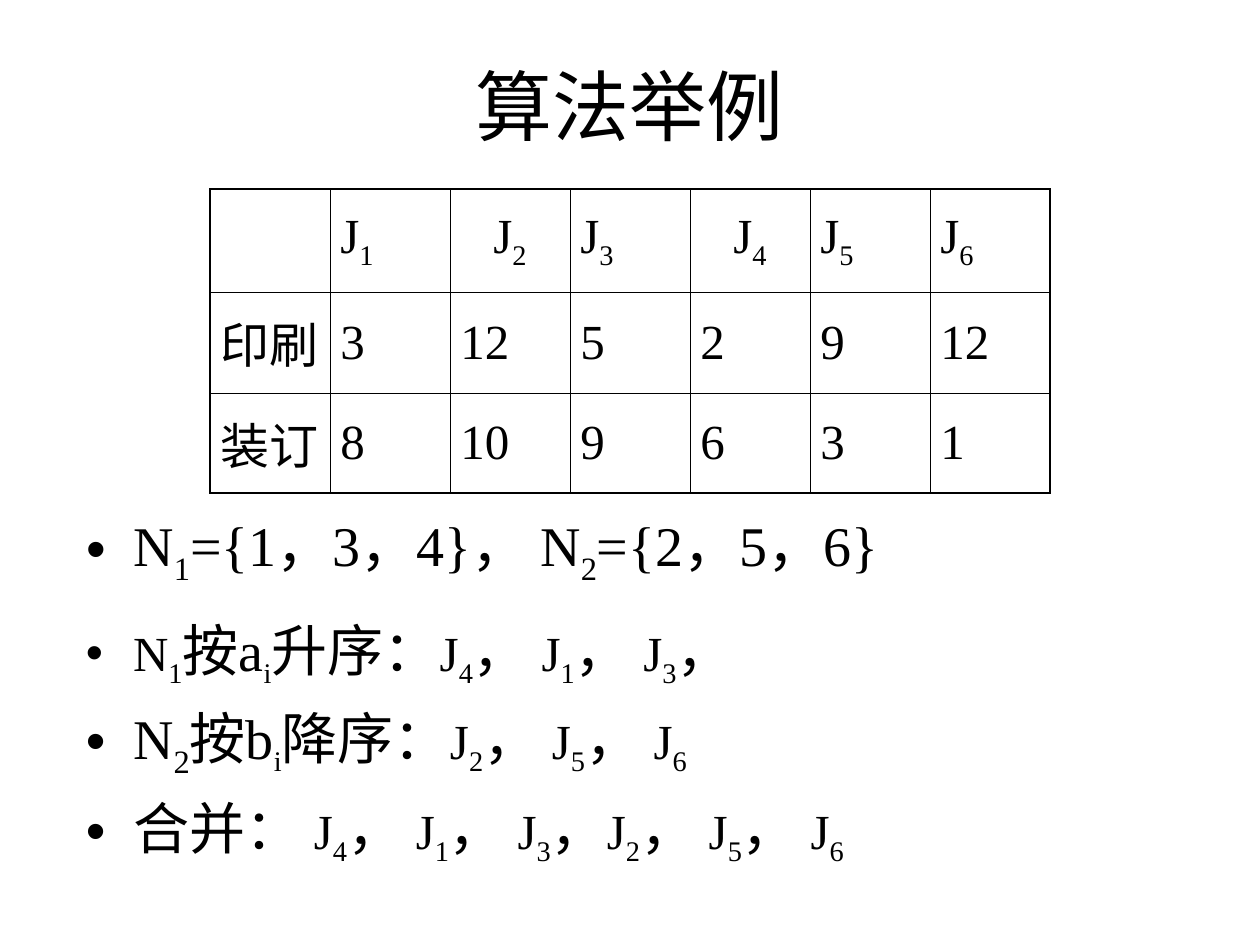
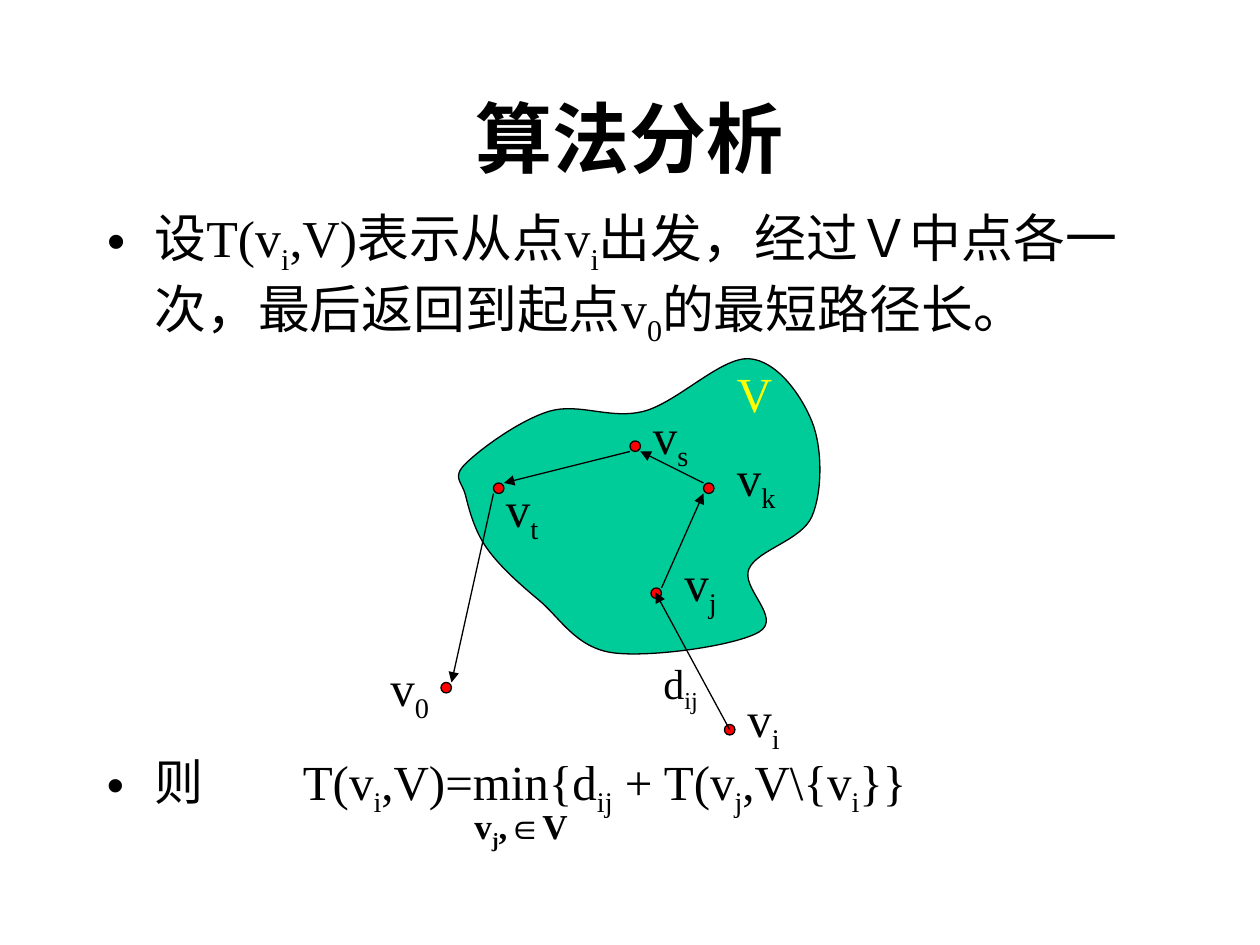
from dataclasses import dataclass

import pptx
import pptx.dml.color
import pptx.enum.shapes
import pptx.enum.text
import pptx.oxml
import pptx.oxml.ns
import pptx.util
from lxml import etree

Pt = pptx.util.Pt
PP_ALIGN = pptx.enum.text.PP_ALIGN
ANCHOR = pptx.enum.text.MSO_ANCHOR

# Shared look
BLACK, RED, GREEN, YELLOW = "000000", "FF0000", "00CC99", "FFFF00"
SERIF, SANS = "Times New Roman", "Arial"
OUTLINE = 0.75
HANGING = 27
DOT = 6


@dataclass(frozen=True)
class Span:
    """Text of one size; every second part between bars is a subscript."""
    text: str
    size: float
    font: str = SERIF
    color: str = BLACK
    bold: bool = False


@dataclass(frozen=True)
class Box:
    left: float
    top: float
    width: float
    height: float


@dataclass(frozen=True)
class Vertex:
    label: str
    dot: tuple[float, float]
    caption: Box


def rgb(color: str) -> pptx.dml.color.RGBColor:
    return pptx.dml.color.RGBColor.from_string(color)


def child(parent, tag: str, **attributes: str):
    element = etree.SubElement(parent, pptx.oxml.ns.qn(tag))
    for key, value in attributes.items():
        element.set(key, value)
    return element


# Text
def add_spans(paragraph, spans: list[Span]) -> None:
    for span in spans:
        for index, part in enumerate(span.text.split("|")):
            if not part:
                continue
            run = paragraph.add_run()
            run.text = part
            font = run.font
            font.size, font.name, font.bold = Pt(span.size), span.font, span.bold
            font.color.rgb = rgb(span.color)
            if index % 2:
                run._r.get_or_add_rPr().set("baseline", "-25000")


def hang(paragraph, bullet: bool = True, tab: float = 0) -> None:
    properties = paragraph._p.get_or_add_pPr()
    properties.set("marL", str(Pt(HANGING)))
    properties.set("indent", str(-Pt(HANGING)))
    if bullet:
        child(child(properties, "a:buClr"), "a:srgbClr", val=BLACK)
        child(properties, "a:buFont", typeface=SANS)
        child(properties, "a:buChar", char="•")
    if tab:
        child(child(properties, "a:tabLst"), "a:tab", pos=str(Pt(tab)), algn="l")


def place(shape, box: Box) -> None:
    shape.left, shape.top = Pt(box.left), Pt(box.top)
    shape.width, shape.height = Pt(box.width), Pt(box.height)


def prepare(shape):
    frame = shape.text_frame
    frame.word_wrap = True
    frame.auto_size = pptx.enum.text.MSO_AUTO_SIZE.NONE
    frame.vertical_anchor = ANCHOR.TOP
    return frame


def add_text(slide, box: Box, spans: list[Span]):
    shape = slide.shapes.add_textbox(*map(Pt, (box.left, box.top, box.width, box.height)))
    add_spans(prepare(shape).paragraphs[0], spans)
    return shape


def fill_list(shape, items: list[list[Span]], gap: float = 8, tab: float = 0) -> None:
    frame = prepare(shape)
    for index, spans in enumerate(items):
        paragraph = frame.add_paragraph() if index else frame.paragraphs[0]
        hang(paragraph, tab=tab)
        paragraph.space_before = Pt(gap if index else 0)
        add_spans(paragraph, spans)


def add_slide(deck, title: Span, title_top: float, body: Box, items: list[list[Span]]):
    slide = deck.slides.add_slide(deck.slide_layouts[1])
    heading = slide.shapes.title
    place(heading, Box(54, title_top, 612, 90))
    paragraph = prepare(heading).paragraphs[0]
    paragraph.alignment = PP_ALIGN.CENTER
    add_spans(paragraph, [title])
    place(slide.placeholders[1], body)
    fill_list(slide.placeholders[1], items)
    return slide


# Job table
def border_cell(cell, widths: dict[str, float]) -> None:
    properties = cell._tc.get_or_add_tcPr()
    for side, width in widths.items():
        line = child(properties, f"a:{side}", w=str(Pt(width)))
        child(child(line, "a:solidFill"), "a:srgbClr", val=BLACK)


def add_job_table(slide, rows: list[list[str]], heights: list[float], centred: set[str]) -> None:
    outer, inner = 1.08, 0.45
    last_row, last_column = len(rows) - 1, len(rows[0]) - 1
    table = slide.shapes.add_table(len(rows), len(rows[0]), Pt(120), Pt(108),
                                   Pt(480), Pt(sum(heights))).table
    table.first_row = table.horz_banding = False
    for r, row in enumerate(rows):
        table.rows[r].height = Pt(heights[r])
        for c, text in enumerate(row):
            cell = table.cell(r, c)
            cell.vertical_anchor = ANCHOR.MIDDLE
            cell.margin_left = cell.margin_right = Pt(6)
            paragraph = cell.text_frame.paragraphs[0]
            if text in centred:
                paragraph.alignment = PP_ALIGN.CENTER
            add_spans(paragraph, [Span(text, 28)])
            border_cell(cell, {
                "lnL": inner if c else outer,
                "lnR": outer if c == last_column else inner,
                "lnT": inner if r else outer,
                "lnB": outer if r == last_row else inner,
            })
            cell.fill.background()


def job_sequence(numbers: str) -> list[Span]:
    spans = []
    for number in numbers:
        spans += [Span("， ", 32), Span(f"J|{number}|", 28)]
    return spans[1:]


# Route drawing
def curve_points(knots: list[tuple[float, float]]) -> list[tuple[float, float]]:
    """Two control points and an end point for each side of a smooth closed curve."""
    points = []
    count = len(knots)
    for index in range(count):
        before, start, end, after = (knots[(index + k) % count] for k in (-1, 0, 1, 2))
        points += [
            tuple(s + (e - b) / 6 for b, s, e in zip(before, start, end)),
            tuple(e - (a - s) / 6 for s, e, a in zip(start, end, after)),
            end,
        ]
    return points


def paint(shape, color: str) -> None:
    shape.shadow.inherit = False
    shape.fill.solid()
    shape.fill.fore_color.rgb = rgb(color)
    shape.line.color.rgb = rgb(BLACK)
    shape.line.width = Pt(OUTLINE)


def add_region(slide, knots: list[tuple[float, float]]) -> None:
    builder = slide.shapes.build_freeform(*map(Pt, knots[0]), scale=1.0)
    builder.add_line_segments([(Pt(x), Pt(y)) for x, y in curve_points(knots)], close=True)
    region = builder.convert_to_shape()
    paint(region, GREEN)
    # Join each three line segments into one Bézier segment
    segments = list(region._element.iter(pptx.oxml.ns.qn("a:lnTo")))
    for first in range(0, len(segments), 3):
        curve = etree.Element(pptx.oxml.ns.qn("a:cubicBezTo"))
        segments[first].addprevious(curve)
        for segment in segments[first:first + 3]:
            curve.append(segment[0])
            segment.getparent().remove(segment)


def add_arrow(slide, start: tuple[float, float], end: tuple[float, float]) -> None:
    arrow = slide.shapes.add_connector(pptx.enum.shapes.MSO_CONNECTOR.STRAIGHT,
                                       *map(Pt, start + end))
    arrow.line.color.rgb = rgb(BLACK)
    arrow.line.width = Pt(OUTLINE)
    child(arrow.line._get_or_add_ln(), "a:tailEnd", type="triangle")
    child(arrow._element.spPr, "a:effectLst")


def add_vertices(slide, vertices: list[Vertex]) -> None:
    for vertex in vertices:
        add_text(slide, vertex.caption, [Span(f"v|{vertex.label}|", 28)])
    for vertex in vertices:
        paint(slide.shapes.add_shape(pptx.enum.shapes.MSO_SHAPE.OVAL,
                                     *map(Pt, vertex.dot + (DOT, DOT))), RED)


# Slides
def build_example(deck) -> None:
    sets = [Span("N|1|={1，3，4}， N|2|={2，5，6}", 32)]
    slide = add_slide(deck, Span("算法举例", 44, SANS), 30, Box(42, 288, 612, 54), [sets])
    add_job_table(slide, [
        ["", *(f"J|{number}|" for number in range(1, 7))],
        ["印刷", "3", "12", "5", "2", "9", "12"],
        ["装订", "8", "10", "9", "6", "3", "1"],
    ], [59, 57.6, 57.2], {"J|2|", "J|4|"})
    first, second = job_sequence("413"), job_sequence("256")
    comma = Span("，", 32)
    ordering = add_text(slide, Box(42, 348, 642, 144), [])
    fill_list(ordering, [
        [Span("N|1|", 28), Span("按a", 32), Span("|i|", 28), Span("升序：", 32), *first, comma],
        [Span("N|2|按b", 32), Span("|i|", 28), Span("降序：", 32), *second],
        [Span("合并：", 32), Span(" ", 32), *first, comma, *second],
    ])


def build_analysis(deck) -> None:
    definition = [Span("设T(v|i|,V)表示从点v|i|出发，经过Ｖ中点各一次，"
                       "最后返回到起点v|0|的最短路径长。", 29.6)]
    slide = add_slide(deck, Span("算法分析", 44, bold=True), 48,
                      Box(54, 114, 612, 96), [definition])

    # Vertex set and the route through it
    add_region(slide, [(266, 265), (314, 235), (368, 235), (428, 205), (464, 241), (464, 295),
                       (428, 325), (434, 361), (350, 373), (308, 343), (278, 313), (266, 283)])
    add_vertices(slide, [
        Vertex("0", (252, 390), Box(216, 372, 42, 45)),
        Vertex("i", (414, 414), Box(420, 390, 54, 45)),
        Vertex("j", (372, 336), Box(384, 312, 42, 45)),
        Vertex("k", (402, 276), Box(414, 252, 42, 45)),
        Vertex("s", (360, 252), Box(366, 228, 42, 45)),
        Vertex("t", (282, 276), Box(282, 270, 42, 45)),
    ])
    add_text(slide, Box(414, 204, 42, 41), [Span("V", 28, color=YELLOW)])
    for start, end in [((417, 417), (374.5, 338.5)), ((378, 336), (402, 282)),
                       ((402, 276), (366, 258)), ((360, 258), (288, 276)),
                       ((282, 282), (258, 390))]:
        add_arrow(slide, start, end)
    add_text(slide, Box(372, 372, 42, 40), [Span("d|ij|", 24)])

    # Recurrence
    recurrence = add_text(slide, Box(54, 426, 594, 54), [])
    fill_list(recurrence, [[Span("则\tT(v|i|,V)=min{d|ij| + T(v|j|,V\\{v|i|}}", 28)]], tab=112)
    condition = add_text(slide, Box(264, 456, 72, 36), [
        Span("v|j|,", 20, bold=True), Span("∈", 20, SANS, bold=True), Span("V", 20, bold=True)])
    hang(condition.text_frame.paragraphs[0], bullet=False)


def main() -> None:
    deck = pptx.Presentation()
    deck.slide_width, deck.slide_height = Pt(720), Pt(540)
    build_example(deck)
    build_analysis(deck)
    deck.save("out.pptx")


if __name__ == "__main__":
    main()
